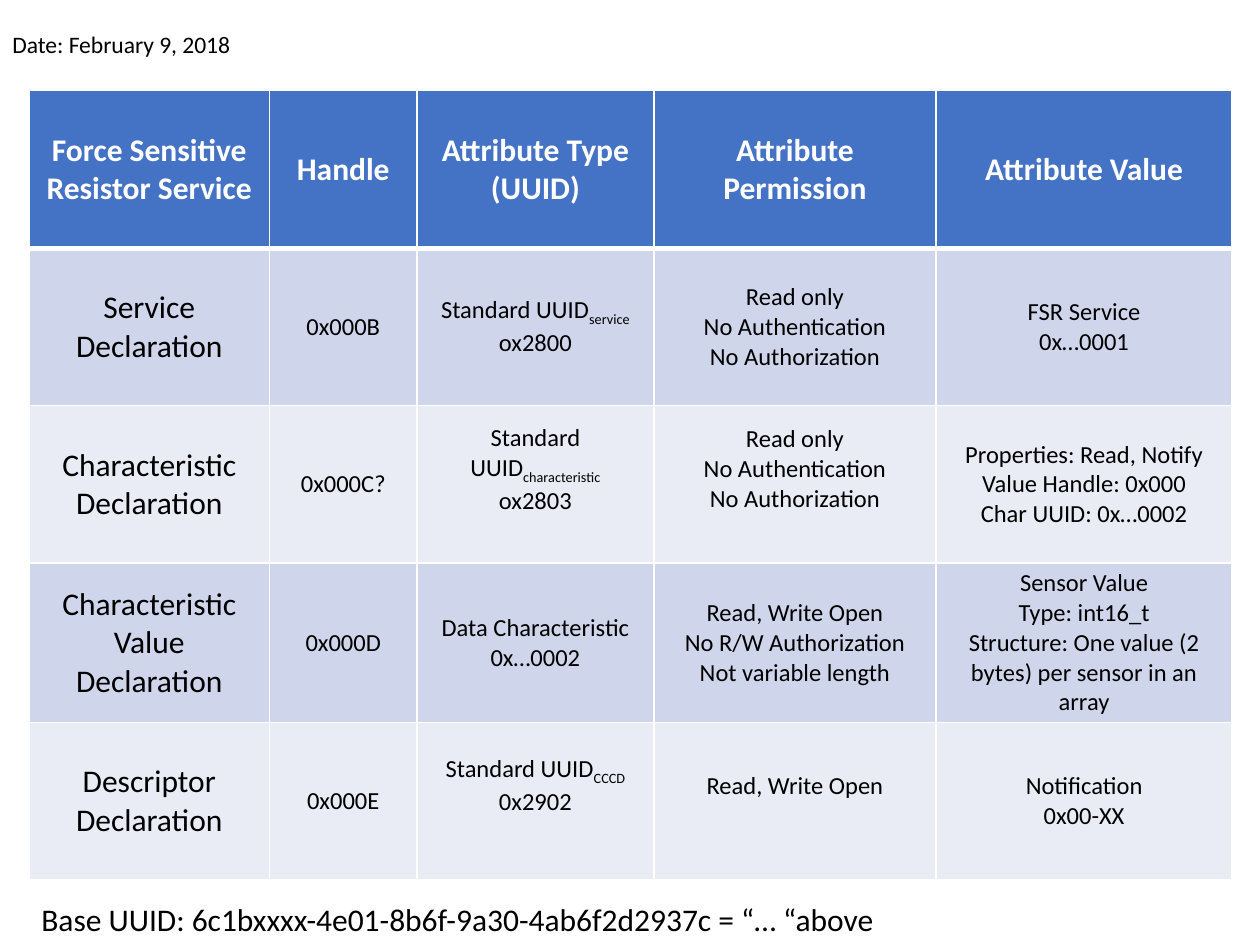
from pptx import Presentation
from pptx.dml.color import RGBColor
from pptx.enum.text import MSO_ANCHOR, PP_ALIGN
from pptx.oxml.ns import qn
from pptx.util import Inches, Pt
from lxml.etree import SubElement

HEAD = ["Force Sensitive Resistor Service", "Handle", "Attribute Type (UUID)",
        "Attribute Permission", "Attribute Value"]
READ = ["Read only", "No Authentication", "No Authorization"]
BODY = [
    ["Service Declaration", "0x000B",
     [("Standard UUID", "service"), "ox2800"], READ,
     ["FSR Service", "0x…0001"]],
    ["Characteristic Declaration", "0x000C?",
     [("Standard UUID", "characteristic"), "ox2803"], READ,
     ["Properties: Read, Notify", "Value Handle: 0x000", "Char UUID: 0x…0002"]],
    ["Characteristic Value Declaration", "0x000D",
     ["Data Characteristic", "0x…0002"],
     ["Read, Write Open", "No R/W Authorization", "Not variable length"],
     ["Sensor Value", "Type: int16_t",
      "Structure: One value (2 bytes) per sensor in an array"]],
    ["Descriptor Declaration", "0x000E",
     [("Standard UUID", "CCCD"), "0x2902"], "Read, Write Open",
     ["Notification", "0x00-XX"]],
]
ROWS = [HEAD] + BODY
WIDTHS = [1.91, 1.17, 1.88, 2.24, 2.35]
HIGH = 1.25
RAISED = {(2, 2), (2, 3), (4, 2), (4, 3)}
NOTES = [
    ("Date: February 9, 2018", 13.5, (0, 0.19, 2.53, 0.33)),
    ("Base UUID: 6c1bxxxx-4e01-8b6f-9a30-4ab6f2d2937c = “… “above", 18,
     (0.23, 7.09, 6.96, 0.4)),
]


def color(code):
    return RGBColor.from_string(code)


def add_run(para, text, size, code="000000", bold=False, sub=False):
    run = para.add_run()
    run.text = text
    font = run.font
    font.name, font.size, font.bold = "Calibri", Pt(size), bold
    font.color.rgb = color(code)
    if sub:
        font._element.set("baseline", "-25000")


def add_edge(cell, side, points):
    line = SubElement(cell._tc.get_or_add_tcPr(), qn("a:ln" + side), w=str(Pt(points)))
    fill = SubElement(line, qn("a:solidFill"))
    SubElement(fill, qn("a:srgbClr"), val="FFFFFF")


def fill_cell(cell, row, col, lines):
    head = row == 0
    cell.vertical_anchor = MSO_ANCHOR.MIDDLE
    cell.margin_left = cell.margin_right = Inches(0.07)
    cell.margin_top = Inches(0.04)
    cell.margin_bottom = Inches(0.28 if (row, col) in RAISED else 0.04)
    for side in "LRTB":
        thick = (row, side) in ((0, "B"), (1, "T"))
        add_edge(cell, side, 3 if thick else 1)
    cell.fill.solid()
    cell.fill.fore_color.rgb = color("4472C4" if head else ("E9EBF5", "CFD5EA")[row % 2])
    size = 18 if head or col == 0 else 14
    lines = [lines] if isinstance(lines, str) else lines
    frame = cell.text_frame
    for i, line in enumerate(lines):
        para = frame.add_paragraph() if i else frame.paragraphs[0]
        para.alignment = PP_ALIGN.CENTER
        parts = (line,) if isinstance(line, str) else line
        for j, part in enumerate(parts):
            add_run(para, part, size, "FFFFFF" if head else "000000", head, j > 0)


deck = Presentation()
deck.slide_width, deck.slide_height = Inches(10), Inches(7.5)
slide = deck.slides.add_slide(deck.slide_layouts[6])

table = slide.shapes.add_table(
    len(ROWS), len(WIDTHS), Inches(0.23), Inches(0.72),
    Inches(sum(WIDTHS)), Inches(HIGH * len(ROWS))).table
for col, width in enumerate(WIDTHS):
    table.columns[col].width = Inches(width)
for row, cells in enumerate(ROWS):
    table.rows[row].height = Inches(HIGH)
    for col, lines in enumerate(cells):
        fill_cell(table.cell(row, col), row, col, lines)

for text, size, place in NOTES:
    box = slide.shapes.add_textbox(*map(Inches, place))
    box.text_frame.word_wrap = True
    add_run(box.text_frame.paragraphs[0], text, size)

deck.save("out.pptx")
